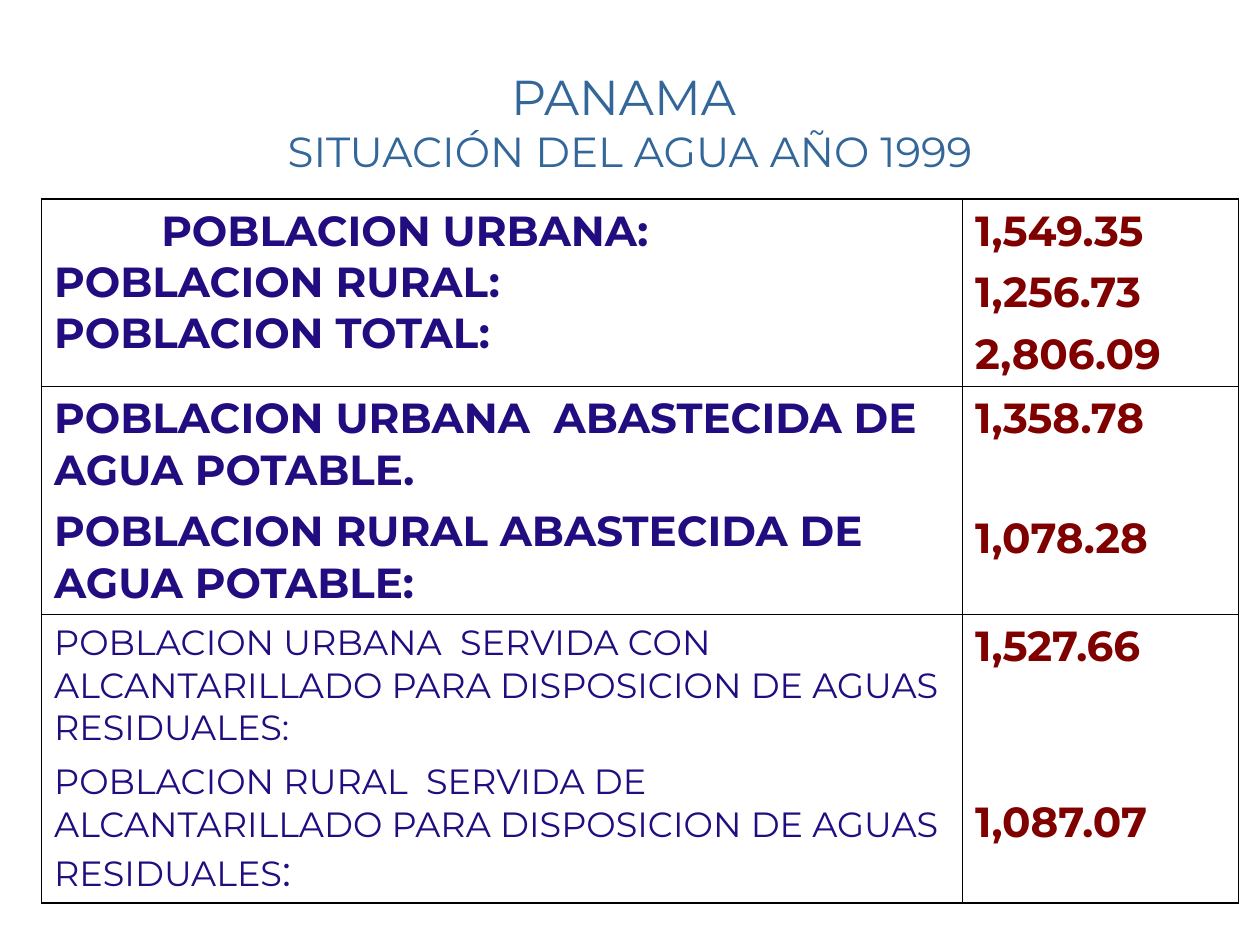
from dataclasses import dataclass

from lxml.etree import SubElement
from pptx import Presentation
from pptx.dml.color import RGBColor
from pptx.enum.text import MSO_ANCHOR, PP_ALIGN
from pptx.oxml.ns import qn
from pptx.util import Inches, Pt


@dataclass(frozen=True)
class Theme:
    font: str = "Montserrat"
    heading: str = "336699"
    label: str = "220C80"
    value: str = "800000"
    border: str = "000000"
    title_size: int = 28
    body_size: int = 24
    small_size: int = 20
    outer_line: float = 1.08
    inner_line: float = 0.45


theme = Theme()


def style(font, size, color, bold=False):
    font.name = theme.font
    font.size = Pt(size)
    font.bold = bold
    font.color.rgb = RGBColor.from_string(color)


def draw_border(cell, side, width):
    line = SubElement(cell._tc.get_or_add_tcPr(), qn(f"a:{side}"), w=str(Pt(width)))
    fill = SubElement(line, qn("a:solidFill"))
    SubElement(fill, qn("a:srgbClr"), val=theme.border)


deck = Presentation()
deck.slide_width = Inches(10)
deck.slide_height = Inches(7.5)
page = deck.slides.add_slide(deck.slide_layouts[6])

title_box = page.shapes.add_textbox(Inches(0.75), Inches(0.67), Inches(8.5), Inches(0.58))
title_frame = title_box.text_frame
title_frame.word_wrap = True
title_frame.vertical_anchor = MSO_ANCHOR.MIDDLE
title = title_frame.paragraphs[0]
title.alignment = PP_ALIGN.CENTER
country = title.add_run()
country.text = "PANAMA "
style(country.font, theme.title_size, theme.heading)
title.add_line_break()
subject = title.add_run()
subject.text = "SITUACIÓN DEL AGUA AÑO 1999"
style(subject.font, theme.body_size, theme.heading)

row_heights = [1.49, 1.81, 2.29]
column_widths = [7.31, 2.19]
labels = [
    ["POBLACION URBANA:\vPOBLACION RURAL:\vPOBLACION TOTAL:"],
    ["POBLACION URBANA  ABASTECIDA DE AGUA POTABLE.",
     "POBLACION RURAL ABASTECIDA DE AGUA POTABLE:"],
    ["POBLACION URBANA  SERVIDA CON ALCANTARILLADO PARA DISPOSICION DE AGUAS RESIDUALES:",
     "POBLACION RURAL  SERVIDA DE ALCANTARILLADO PARA DISPOSICION DE AGUAS RESIDUALES"],
]
values = [
    ["1,549.35", "1,256.73", "2,806.09"],
    ["1,358.78", "1,078.28"],
    ["1,527.66", "1,087.07"],
]
label_sizes = [theme.body_size, theme.body_size, theme.small_size]
value_gaps = [6, 39, 71]

table = page.shapes.add_table(
    3, 2, Inches(0.33), Inches(1.58), Inches(sum(column_widths)), Inches(sum(row_heights))
).table
for column, width in zip(table.columns, column_widths):
    column.width = Inches(width)
for row, height in zip(table.rows, row_heights):
    row.height = Inches(height)

for row in range(3):
    columns = [
        (labels[row], label_sizes[row], theme.label, label_sizes[row] == theme.body_size, 6),
        (values[row], theme.body_size, theme.value, True, value_gaps[row]),
    ]
    for column, (lines, size, color, bold, gap) in enumerate(columns):
        cell = table.cell(row, column)
        outer_sides = {"lnL": column == 0, "lnR": column == 1, "lnT": row == 0, "lnB": row == 2}
        for side, is_outer in outer_sides.items():
            draw_border(cell, side, theme.outer_line if is_outer else theme.inner_line)
        cell.fill.background()
        cell.margin_left = cell.margin_right = Inches(0.1)
        cell.text_frame.text = "\n".join(lines)
        for index, para in enumerate(cell.text_frame.paragraphs):
            para.space_before = Pt(gap if index else 0)
            style(para.font, size, color, bold)

population = table.cell(0, 0).text_frame.paragraphs[0]
population._p.get_or_add_pPr().set("indent", str(Inches(0.85)))

colon = table.cell(2, 0).text_frame.paragraphs[1].add_run()
colon.text = ":"
colon.font.size = Pt(theme.body_size)

deck.save("out.pptx")
